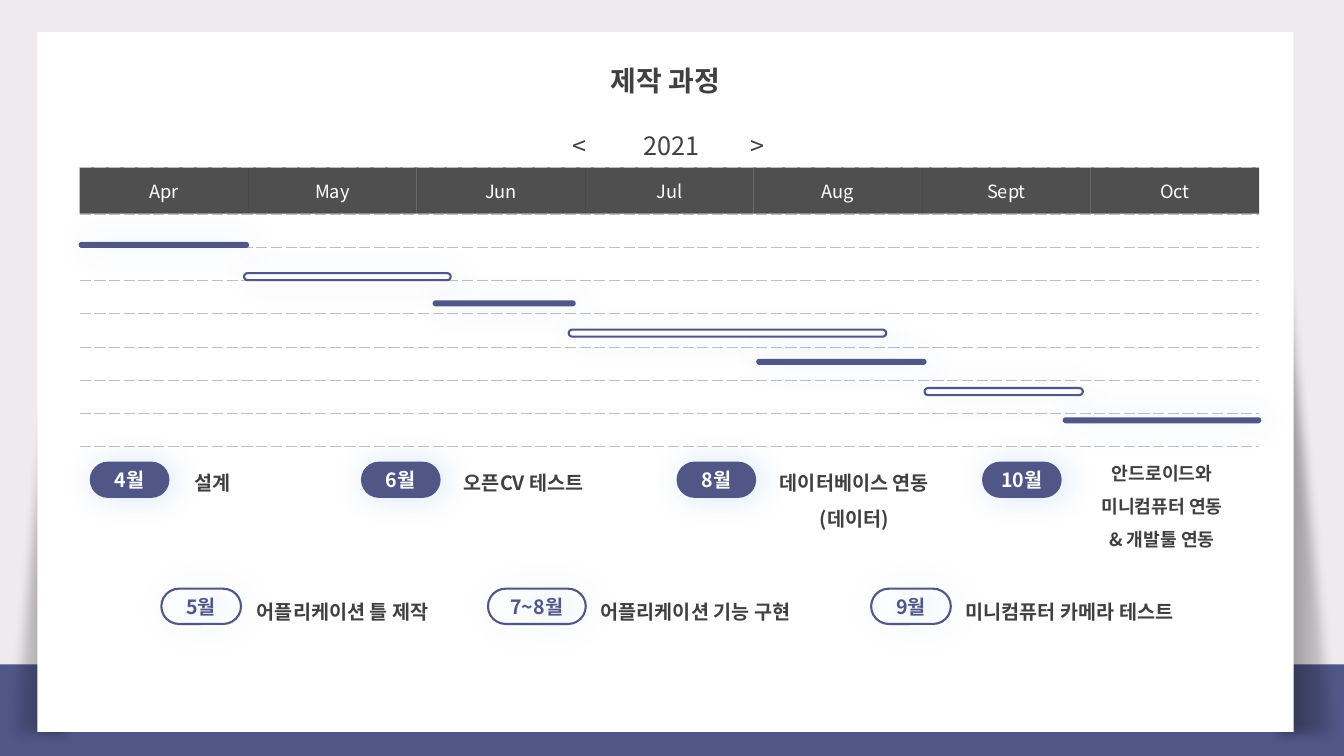
import pptx
import pptx.util
import pptx.oxml
import pptx.oxml.ns
import pptx.dml.color
import pptx.enum.shapes
import pptx.enum.text

Inches, Pt = pptx.util.Inches, pptx.util.Pt
RGBColor = pptx.dml.color.RGBColor
SHAPE = pptx.enum.shapes.MSO_SHAPE
ALIGN = pptx.enum.text.PP_ALIGN
ANCHOR = pptx.enum.text.MSO_ANCHOR
NS = pptx.oxml.ns.nsdecls("a")

LILAC = RGBColor(0xEE, 0xEA, 0xEE)
INDIGO = RGBColor(0x50, 0x57, 0x86)
WHITE = RGBColor(0xFF, 0xFF, 0xFF)
BLACK = RGBColor(0, 0, 0)
INK = RGBColor(0x40, 0x40, 0x40)
FONT = "Noto Sans CJK KR"
GLOW = (f'<a:outerShdw {NS} blurRad="292100" dist="38100" dir="0" algn="ctr" rotWithShape="0">'
        '<a:srgbClr val="1A73DE"><a:alpha val="17000"/></a:srgbClr></a:outerShdw>')


def add_shape(kind, box, fill=None, effect=None):
    """Shape with a solid fill, or an indigo outline when no fill is given."""
    sp = s.shapes.add_shape(kind, *map(Inches, box))
    sp.shadow.inherit = False
    if fill is None:
        sp.fill.background()
        sp.line.color.rgb = INDIGO
        sp.line.width = Pt(1.5)
    else:
        sp.fill.solid()
        sp.fill.fore_color.rgb = fill
        sp.line.fill.background()
    if kind == SHAPE.ROUNDED_RECTANGLE:
        sp.adjustments[0] = 0.5
    if effect:
        effects = sp._element.spPr.find(pptx.oxml.ns.qn("a:effectLst"))
        effects.append(pptx.oxml.parse_xml(effect))
    return sp


def write(p, text, color, align=ALIGN.CENTER, **font):
    p.alignment = align
    r = p.add_run()
    r.text = text
    for name, value in {"name": FONT, **font}.items():
        setattr(r.font, name, value)
    r.font.color.rgb = color
    r._r.rPr.append(pptx.oxml.parse_xml(f'<a:ea {NS} typeface="{FONT}"/>'))


prs = pptx.Presentation()
prs.slide_width, prs.slide_height = Inches(13.33), Inches(7.5)
s = prs.slides.add_slide(prs.slide_layouts[5])
s.background.fill.solid()
s.background.fill.fore_color.rgb = LILAC

# Bottom band, side shades and white panel
add_shape(SHAPE.RECTANGLE, (0, 6.59, 13.33, 0.91), INDIGO)
for left in (0, 12.59):
    sp = add_shape(SHAPE.RIGHT_TRIANGLE, (left, 0, 0.75, 7.38), BLACK,
                   f'<a:softEdge {NS} rad="101600"/>')
    if left == 0:
        sp._element.spPr.xfrm.set("flipH", "1")
    sp.fill.gradient()
    sp.fill.gradient_angle = 180
    for stop, alpha in zip(sp.fill.gradient_stops, (0, 48000)):
        stop.color.rgb = BLACK
    for clr, alpha in zip(sp._element.spPr.iter(pptx.oxml.ns.qn("a:srgbClr")), (0, 48000)):
        clr.append(pptx.oxml.parse_xml(f'<a:alpha {NS} val="{alpha}"/>'))
add_shape(SHAPE.RECTANGLE, (0.37, 0.32, 12.46, 6.94), WHITE)

# Title, brought in front of the panel
title = s.shapes.title
title.left, title.top, title.width, title.height = map(Inches, (0.37, 0.5, 12.46, 0.6))
title.text_frame.vertical_anchor = ANCHOR.MIDDLE
write(title.text_frame.paragraphs[0], "제작 과정", INK, size=Pt(20), bold=True)
s.shapes._spTree.append(title._element)

# Calendar table
MONTHS = ["Apr", "May", "Jun", "Jul", "Aug", "Sept", "Oct"]
HEIGHTS = [0.46, 0.46] + [0.33] * 7
frame = s.shapes.add_table(len(HEIGHTS), len(MONTHS), Inches(0.79), Inches(1.2),
                           Inches(11.7), Inches(sum(HEIGHTS)))
table = frame.table
table.first_row = table.horz_banding = False
for col in table.columns:
    col.width = Inches(11.7 / len(MONTHS))
DASH = ('<a:solidFill><a:srgbClr val="BFBFBF"/></a:solidFill><a:prstDash val="sysDash"/>')
for i, height in enumerate(HEIGHTS):
    table.rows[i].height = Inches(height)
    for j, month in enumerate(MONTHS):
        cell = table.cell(i, j)
        cell.vertical_anchor = ANCHOR.MIDDLE
        cell.margin_left = cell.margin_right = Inches(0.07)
        cell.margin_top = cell.margin_bottom = Inches(0.04)
        p = cell.text_frame.paragraphs[0]
        tcPr = cell._tc.get_or_add_tcPr()
        if i == 1:
            cell.fill.solid()
            cell.fill.fore_color.rgb = BLACK
            tcPr.find(".//" + pptx.oxml.ns.qn("a:srgbClr")).append(
                pptx.oxml.parse_xml(f'<a:alpha {NS} val="69000"/>'))
            write(p, month, WHITE, size=Pt(13))
        else:
            cell.fill.background()
            p._p.append(pptx.oxml.parse_xml(f'<a:endParaRPr {NS} sz="800"/>'))
        for k, side in enumerate("LRTB"):
            dashed = side == "B" or (side == "T" and i > 0)
            tcPr.insert(k, pptx.oxml.parse_xml(
                f'<a:ln{side} {NS} w="3175">{DASH if dashed else "<a:noFill/>"}</a:ln{side}>'))

# Year row, spread by centred tabs
table.cell(0, 0).merge(table.cell(0, len(MONTHS) - 1))
p = table.cell(0, 0).text_frame.paragraphs[0]
tabs = "".join(f'<a:tab pos="{Inches(x)}" algn="ctr"/>' for x in (4.89, 5.8, 6.65))
p._p.get_or_add_pPr().append(pptx.oxml.parse_xml(f"<a:tabLst {NS}>{tabs}</a:tabLst>"))
write(p, "\t<\t2021\t>", INK, ALIGN.LEFT, size=Pt(18))

# Gantt bars, alternately filled and outlined
BARS = [(0.78, 2.4, 1.69), (2.42, 2.71, 2.05), (4.29, 2.98, 1.42), (5.64, 3.27, 3.15),
        (7.5, 3.56, 1.69), (9.17, 3.85, 1.57), (10.54, 4.14, 1.97)]
for i, (left, top, width) in enumerate(BARS):
    box = (left, top, width, 0.07 if i % 2 else 0.06)
    add_shape(SHAPE.ROUNDED_RECTANGLE, box, None if i % 2 else INDIGO, GLOW)

# Month pills: month, left, width, fill
UPPER, LOWER = (4.58, 0.36, INDIGO, WHITE), (5.84, 0.35, None, INDIGO)
PILLS = [("4월", 0.89, 0.79, UPPER), ("5월", 1.6, 0.79, LOWER), ("6월", 3.58, 0.79, UPPER),
         ("7~8월", 4.84, 0.97, LOWER), ("8월", 6.71, 0.79, UPPER), ("9월", 8.64, 0.79, LOWER),
         ("10월", 9.74, 0.79, UPPER)]
for month, left, width, (top, height, fill, color) in PILLS:
    sp = add_shape(SHAPE.ROUNDED_RECTANGLE, (left, top, width, height), fill, GLOW)
    tf = sp.text_frame
    tf.vertical_anchor = ANCHOR.MIDDLE
    write(tf.paragraphs[0], month, color, size=Pt(14), bold=True)

# Task labels: lines, left, top, width, size, alignment
LABELS = [
    (["설계"], 1.73, 4.51, 0.76, 14, ALIGN.CENTER),
    (["어플리케이션 틀 제작"], 2.45, 5.79, 2.16, 14, ALIGN.LEFT),
    (["오픈CV 테스트"], 4.42, 4.51, 1.55, 14, ALIGN.CENTER),
    (["어플리케이션 기능 구현"], 5.86, 5.79, 2.3, 14, ALIGN.LEFT),
    (["데이터베이스 연동", "(데이터)"], 7.55, 4.51, 1.85, 14, ALIGN.CENTER),
    (["미니컴퓨터 카메라 테스트"], 9.48, 5.79, 2.7, 14, ALIGN.LEFT),
    (["안드로이드와 미니컴퓨터 연동", "& 개발툴 연동"], 10.54, 4.43, 1.97, 13, ALIGN.CENTER),
]
for lines, left, top, width, size, align in LABELS:
    tf = s.shapes.add_textbox(*map(Inches, (left, top, width, 0.48))).text_frame
    tf.word_wrap = True
    for i, line in enumerate(lines):
        p = tf.add_paragraph() if i else tf.paragraphs[0]
        p.line_spacing = 1.5
        write(p, line, INK, align, size=Pt(size), bold=True)

prs.save("out.pptx")
